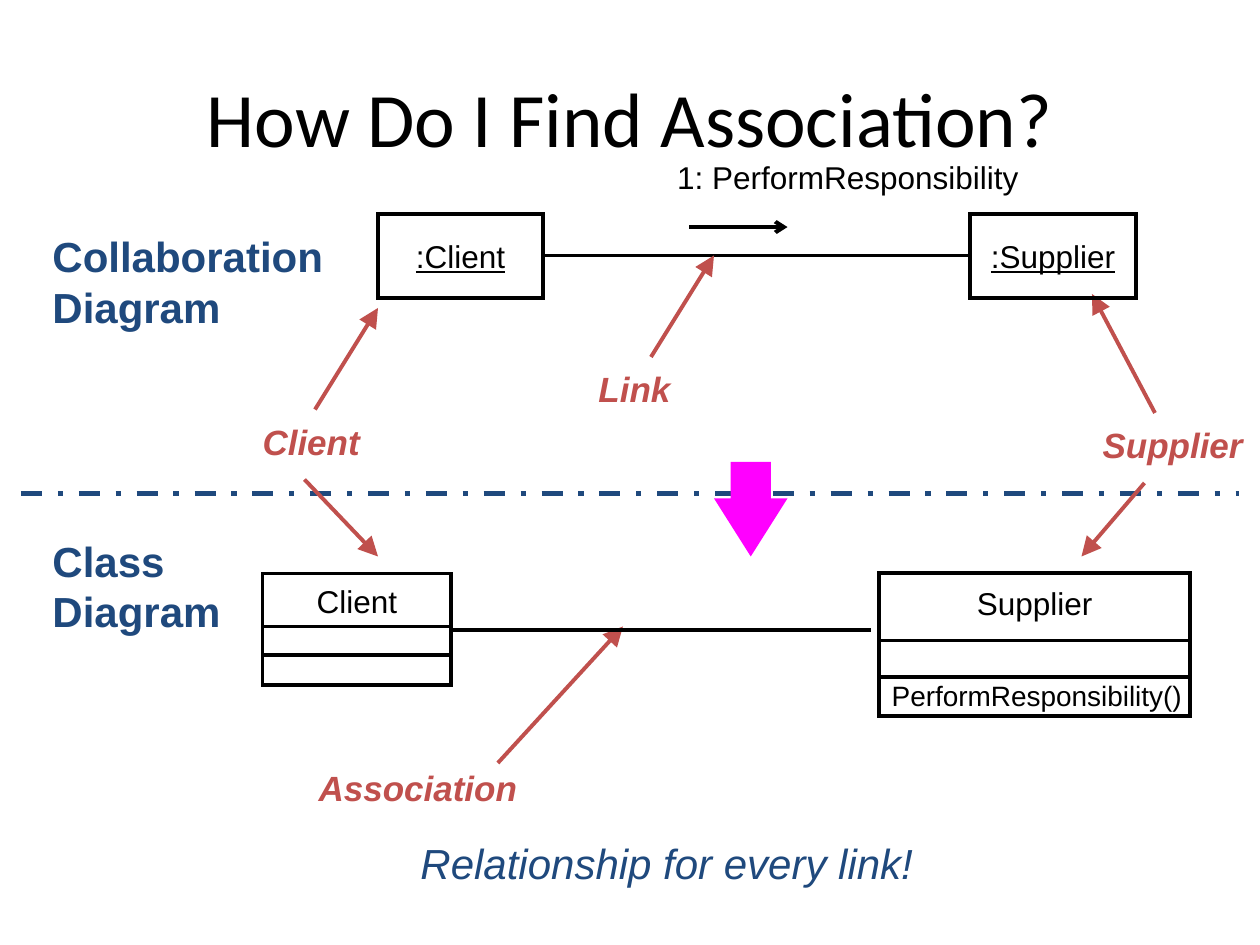
from pptx import Presentation
from pptx.dml.color import RGBColor
from pptx.enum import dml, shapes, text
from pptx.oxml import parse_xml
from pptx.oxml.ns import nsdecls
from pptx.util import Pt

BLACK, NAVY, RED, MAGENTA = "000000", "1F497D", "C0504D", "FF00FF"
rgb = RGBColor.from_string
LEFT, CENTER = text.PP_ALIGN.LEFT, text.PP_ALIGN.CENTER
TOP, MIDDLE = text.MSO_ANCHOR.TOP, text.MSO_ANCHOR.MIDDLE

deck = Presentation()
deck.slide_width, deck.slide_height = Pt(720), Pt(540)
slide = deck.slides.add_slide(deck.slide_layouts[6])


def write(parent, words, box, size, color=BLACK, align=LEFT, inset=(0, 0),
          wrap=False, face="Arial", anchor=TOP, bold=False, italic=False,
          underline=False):
    frame = parent.add_textbox(*map(Pt, box)).text_frame
    frame.word_wrap = wrap
    if anchor == TOP:
        frame.auto_size = text.MSO_AUTO_SIZE.SHAPE_TO_FIT_TEXT
    frame.margin_left = frame.margin_right = Pt(inset[0])
    frame.margin_top = frame.margin_bottom = Pt(inset[1])
    frame.vertical_anchor = anchor
    frame.text = words
    for paragraph in frame.paragraphs:
        paragraph.alignment = align
        font = paragraph.font
        font.name, font.size, font.color.rgb = face, Pt(size), rgb(color)
        font.bold, font.italic, font.underline = bold, italic, underline


def connect(parent, start, end, color=BLACK, width=2.25, head=None,
            head_size="med", dash=None):
    connector = parent.add_connector(
        shapes.MSO_CONNECTOR.STRAIGHT, *map(Pt, (*start, *end)))
    connector.line.color.rgb = rgb(color)
    connector.line.width = Pt(width)
    if dash:
        connector.line.dash_style = dash
    properties = connector._element.spPr
    if head:
        properties.ln.append(parse_xml(
            f'<a:tailEnd {nsdecls("a")} type="{head}" w="{head_size}" len="{head_size}"/>'))
    properties.append(parse_xml(f'<a:effectLst {nsdecls("a")}/>'))


# Title
write(slide.shapes, "How Do I Find Association?", (36, 21.6, 648, 90), 44,
      align=CENTER, inset=(7.2, 3.6), wrap=True, face="Calibri", anchor=MIDDLE)

# Link between the objects, with its message
connect(slide.shapes, (310.5, 146), (554.5, 146))
write(slide.shapes, "1: PerformResponsibility", (387, 90.25, 219, 21.6), 18, wrap=True)
connect(slide.shapes, (394, 129.75), (450, 129.75), head="arrow")

# Diagram headings and the divider between them
for heading, top, width in (("Collaboration\nDiagram", 132, 155),
                            ("Class\nDiagram", 306, 96)):
    write(slide.shapes, heading, (30, top, width, 57.6), 24, NAVY, bold=True)
connect(slide.shapes, (12, 282), (708, 282), NAVY, 3,
        dash=dml.MSO_LINE.DASH_DOT)

# Callouts, each with arrows to the parts it names
callouts = (
    ("Link", (342, 210, 42), [((372, 204), (408, 146))]),
    ("Association", (182, 438, 115), [((284.5, 436), (356, 358))]),
    ("Client", (150, 240, 57), [((180, 234), (216, 176)),
                                ((174, 274), (216, 318))]),
    ("Supplier", (630, 242, 82), [((660, 236), (624, 168)),
                                  ((654, 276), (618, 318))]),
)
for label, (left, top, width), pointers in callouts:
    write(slide.shapes, label, (left, top, width, 24), 20, RED,
          bold=True, italic=True)
    for start, end in pointers:
        connect(slide.shapes, start, end, RED, head="triangle", head_size="lg")

# Step from collaboration to class diagram
step = slide.shapes.add_shape(shapes.MSO_SHAPE.RIGHT_ARROW,
                              Pt(402), Pt(270), Pt(54), Pt(42))
step.rotation = 90
step.adjustments[0], step.adjustments[1] = 0.55, 0.79
step.shadow.inherit = False
step.fill.solid()
step.fill.fore_color.rgb = rgb(MAGENTA)
step.line.fill.background()

# Objects and classes: name, box, top of name, compartment lines
boxes = (
    (":Client", (216, 122.25, 94.5, 48), 135.5, ()),
    (":Supplier", (554.5, 122.25, 94.5, 48), 135.5, ()),
    ("Client", (150, 327.75, 108, 64), 332.5, (358, 374.25)),
    ("Supplier", (502.5, 327.5, 177.5, 81.5), 333.5, (366, 386.75)),
)
for name, (left, top, width, height), name_top, dividers in boxes:
    group = slide.shapes.add_group_shape().shapes
    outline = group.add_shape(shapes.MSO_SHAPE.RECTANGLE,
                              *map(Pt, (left, top, width, height)))
    outline.shadow.inherit = False
    outline.fill.background()
    outline.line.color.rgb = rgb(BLACK)
    outline.line.width = Pt(2.25)
    outline._element.spPr.ln.append(
        parse_xml(f'<a:miter {nsdecls("a")} lim="800000"/>'))
    for y in dividers:
        connect(group, (left, y), (left + width, y))
    write(group, name, (left + 10, name_top, width - 20, 21.6), 18,
          align=CENTER, underline=name.startswith(":"))

# Operation of the supplier class
write(slide.shapes, "PerformResponsibility()", (502.5, 384.5, 186, 26.6), 16,
      inset=(7.2, 3.6), wrap=True)

# Conclusion
write(slide.shapes, "Relationship for every link!", (180, 474, 402, 37.5), 24,
      NAVY, CENTER, inset=(8.6, 4.3), wrap=True, italic=True)

# Association between the classes
connect(slide.shapes, (258, 360), (498, 360))

deck.save("out.pptx")
